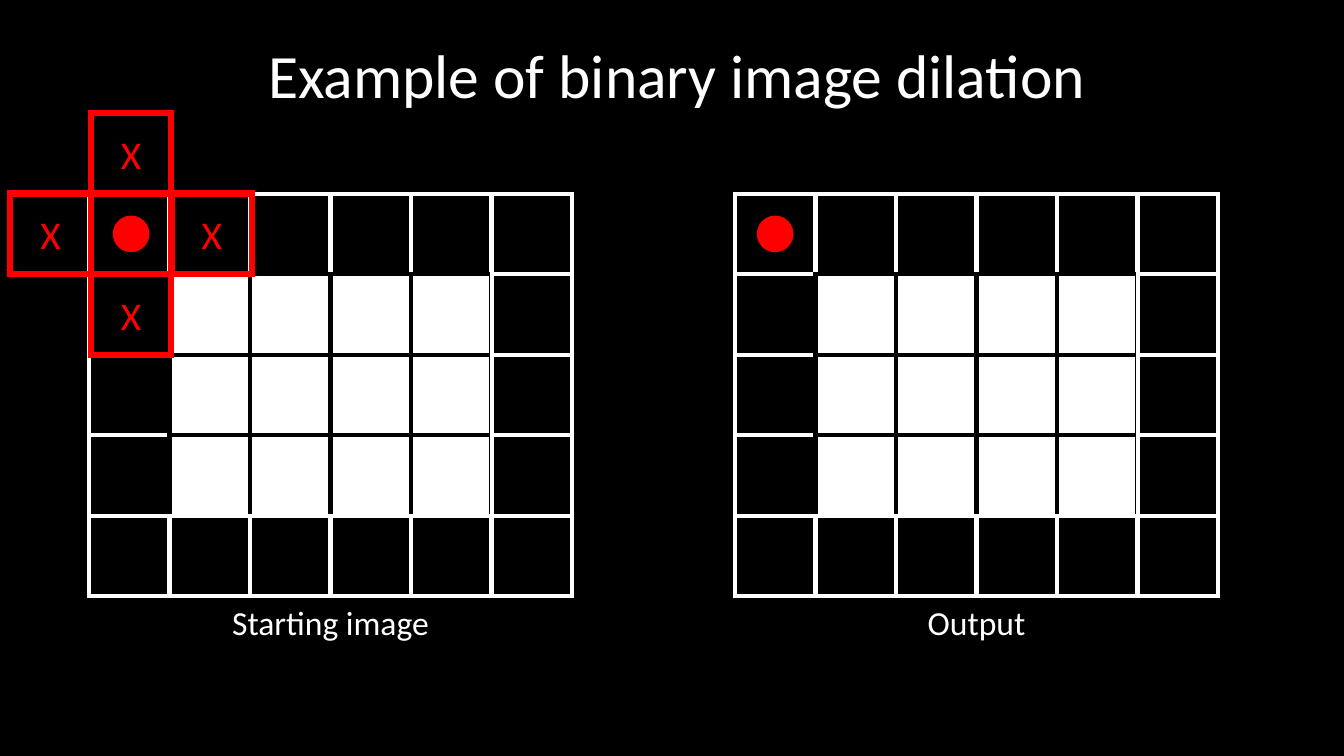
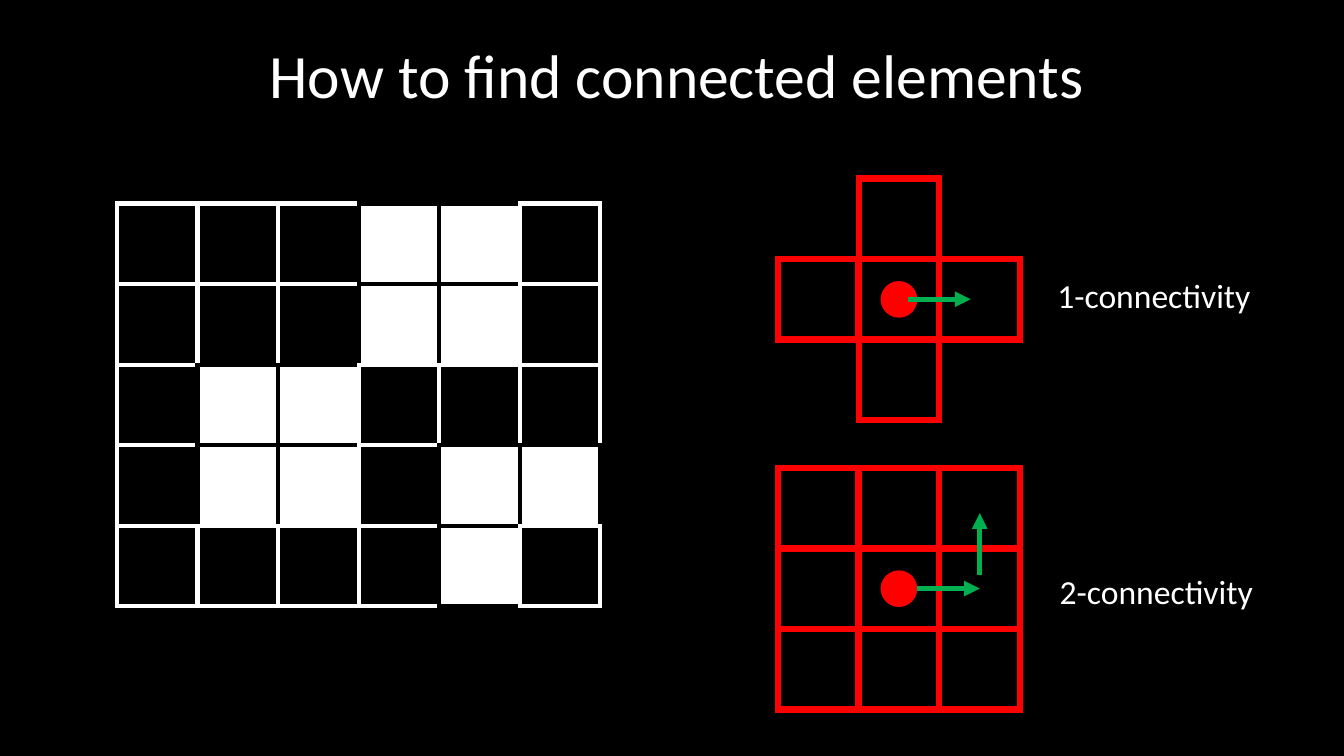
from dataclasses import dataclass
from itertools import product

from lxml import etree
from pptx import Presentation
from pptx.dml.color import RGBColor
from pptx.enum import shapes, text
from pptx.oxml import ns
from pptx.util import Cm, Pt


@dataclass(frozen=True)
class Theme:
    background: RGBColor = RGBColor(0x00, 0x00, 0x00)
    foreground: RGBColor = RGBColor(0xFF, 0xFF, 0xFF)
    kernel: RGBColor = RGBColor(0xFF, 0x00, 0x00)
    step: RGBColor = RGBColor(0x00, 0xB0, 0x50)
    font: str = "Calibri"
    title_size: float = 44
    mark_size: float = 28
    caption_size: float = 24
    pixel_line: float = 3
    kernel_line: float = 4.5
    dot_line: float = 1
    step_line: float = 3.75


@dataclass(frozen=True)
class PixelGrid:
    """A binary image; # is a set pixel. Lengths are in centimetres."""
    left: float
    top: float
    rows: tuple[str, ...]
    caption: str = ""


@dataclass(frozen=True)
class Kernel:
    """A 3 by 3 neighbourhood placed by the corner of its centre cell."""
    left: float
    top: float
    rows: tuple[str, ...]
    mark: str = ""


@dataclass(frozen=True)
class Step:
    x1: float
    y1: float
    x2: float
    y2: float


@dataclass(frozen=True)
class Caption:
    left: float
    top: float
    words: str


THEME = Theme()
CELL = 2.03
DOT = 0.89
CAPTION_WIDTH, CAPTION_HEIGHT = 6.76, 2.31

RECTANGLE = ("......", ".####.", ".####.", ".####.", "......")
BLOBS = ("...##.", "...##.", ".##...", ".##.##", "....#.")
CROSS = (".#.", "###", ".#.")
SQUARE = ("###", "###", "###")


def write_text(frame, words: str, *, size: float, color: RGBColor = THEME.foreground,
               anchor=text.MSO_ANCHOR.TOP, spacing: float | None = None) -> None:
    frame.word_wrap = True
    frame.auto_size = text.MSO_AUTO_SIZE.NONE
    frame.vertical_anchor = anchor
    paragraph = frame.paragraphs[0]
    paragraph.alignment = text.PP_ALIGN.CENTER
    paragraph.line_spacing = spacing
    run = paragraph.add_run()
    run.text = words
    run.font.name = THEME.font
    run.font.size = Pt(size)
    run.font.color.rgb = color


def add_outlined(canvas, kind, left: float, top: float, side: float, *,
                 line: RGBColor, width: float, fill: RGBColor | None = None):
    shape = canvas.add_shape(kind, Cm(left), Cm(top), Cm(side), Cm(side))
    shape.shadow.inherit = False
    if fill is None:
        shape.fill.background()
    else:
        shape.fill.solid()
        shape.fill.fore_color.rgb = fill
    shape.line.color.rgb = line
    shape.line.width = Pt(width)
    outline = shape.element.spPr.find(ns.qn("a:ln"))
    etree.SubElement(outline, ns.qn("a:miter")).set("lim", "800000")
    return shape


def add_dot(canvas, cell_left: float, cell_top: float) -> None:
    inset = (CELL - DOT) / 2
    add_outlined(canvas, shapes.MSO_SHAPE.OVAL, cell_left + inset, cell_top + inset, DOT,
                 line=THEME.kernel, width=THEME.dot_line, fill=THEME.kernel)


def add_caption(slide, caption: Caption) -> None:
    box = slide.shapes.add_textbox(Cm(caption.left), Cm(caption.top),
                                   Cm(CAPTION_WIDTH), Cm(CAPTION_HEIGHT))
    write_text(box.text_frame, caption.words, size=THEME.caption_size)


def add_pixel_grid(slide, grid: PixelGrid) -> None:
    canvas = slide.shapes.add_group_shape().shapes
    row_count, column_count = len(grid.rows), len(grid.rows[0])
    # The first three columns stack row by row, the others column by column.
    cells = sorted(product(range(row_count), range(column_count)),
                   key=lambda cell: (max(cell[1], 2), cell))
    for row, column in cells:
        is_set = grid.rows[row][column] == "#"
        add_outlined(canvas, shapes.MSO_SHAPE.RECTANGLE,
                     grid.left + column * CELL, grid.top + row * CELL, CELL,
                     line=THEME.background if is_set else THEME.foreground,
                     width=THEME.pixel_line,
                     fill=THEME.foreground if is_set else None)
    if grid.caption:
        left = grid.left + (column_count * CELL - CAPTION_WIDTH) / 2
        add_caption(slide, Caption(left, grid.top + row_count * CELL, grid.caption))


def add_kernel(slide, kernel: Kernel) -> None:
    canvas = slide.shapes.add_group_shape().shapes
    for row, column in product(range(3), repeat=2):
        if kernel.rows[row][column] != "#":
            continue
        cell = add_outlined(canvas, shapes.MSO_SHAPE.RECTANGLE,
                            kernel.left + (column - 1) * CELL,
                            kernel.top + (row - 1) * CELL, CELL,
                            line=THEME.kernel, width=THEME.kernel_line)
        if kernel.mark and (row, column) != (1, 1):
            write_text(cell.text_frame, kernel.mark, size=THEME.mark_size,
                       color=THEME.kernel, anchor=text.MSO_ANCHOR.MIDDLE)
    add_dot(canvas, kernel.left, kernel.top)


def add_step(slide, step: Step) -> None:
    arrow = slide.shapes.add_connector(shapes.MSO_CONNECTOR.STRAIGHT, Cm(step.x1),
                                       Cm(step.y1), Cm(step.x2), Cm(step.y2))
    arrow.line.color.rgb = THEME.step
    arrow.line.width = Pt(THEME.step_line)
    properties = arrow.element.spPr
    etree.SubElement(properties.find(ns.qn("a:ln")), ns.qn("a:tailEnd")).set("type", "triangle")
    etree.SubElement(properties, ns.qn("a:effectLst"))


def prepare_layout(deck):
    """Set the black background and the title position shared by all slides."""
    background = deck.slide_master.background.fill
    background.solid()
    background.fore_color.rgb = THEME.background
    layout = deck.slide_layouts.get_by_name("Title Only")
    title = layout.placeholders[0]
    title.left, title.top, title.width, title.height = Cm(2.46), Cm(0.15), Cm(29.21), Cm(3.68)
    return layout


def add_titled_slide(deck, layout, title: str):
    slide = deck.slides.add_slide(layout)
    write_text(slide.shapes.title.text_frame, title, size=THEME.title_size,
               anchor=text.MSO_ANCHOR.MIDDLE, spacing=0.9)
    return slide


def build_dilation(deck, layout) -> None:
    slide = add_titled_slide(deck, layout, "Example of binary image dilation")
    start = PixelGrid(2.24, 4.88, RECTANGLE, "Starting image")
    output = PixelGrid(18.52, 4.88, RECTANGLE, "Output")
    for grid in (start, output):
        add_pixel_grid(slide, grid)
    add_kernel(slide, Kernel(2.29, 4.88, CROSS, mark="X"))
    add_dot(slide.shapes, output.left, output.top)


def build_connectivity(deck, layout) -> None:
    slide = add_titled_slide(deck, layout, "How to find connected elements")
    add_pixel_grid(slide, PixelGrid(2.95, 5.13, BLOBS))
    for kernel in (Kernel(21.64, 6.53, CROSS), Kernel(21.64, 13.82, SQUARE)):
        add_kernel(slide, kernel)
    for step in (Step(22.89, 7.54, 24.46, 7.54),
                 Step(23.11, 14.83, 24.69, 14.83),
                 Step(24.69, 14.48, 24.69, 12.93)):
        add_step(slide, step)
    for caption in (Caption(25.7, 6.81, "1-connectivity"),
                    Caption(25.76, 14.27, "2-connectivity")):
        add_caption(slide, caption)


def main() -> None:
    deck = Presentation()
    deck.slide_width, deck.slide_height = Cm(33.87), Cm(19.05)
    layout = prepare_layout(deck)
    build_dilation(deck, layout)
    build_connectivity(deck, layout)
    deck.save("out.pptx")


if __name__ == "__main__":
    main()
